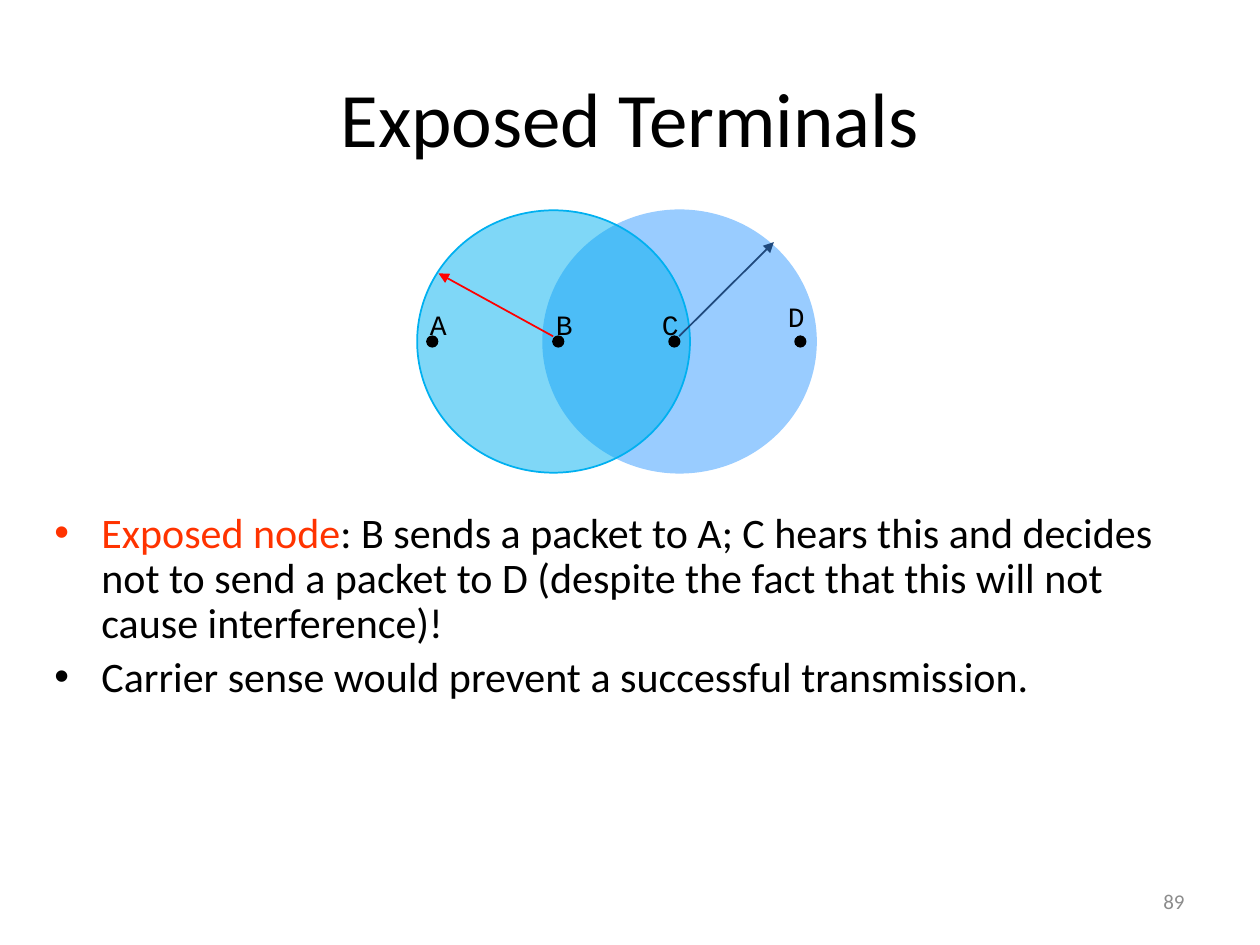
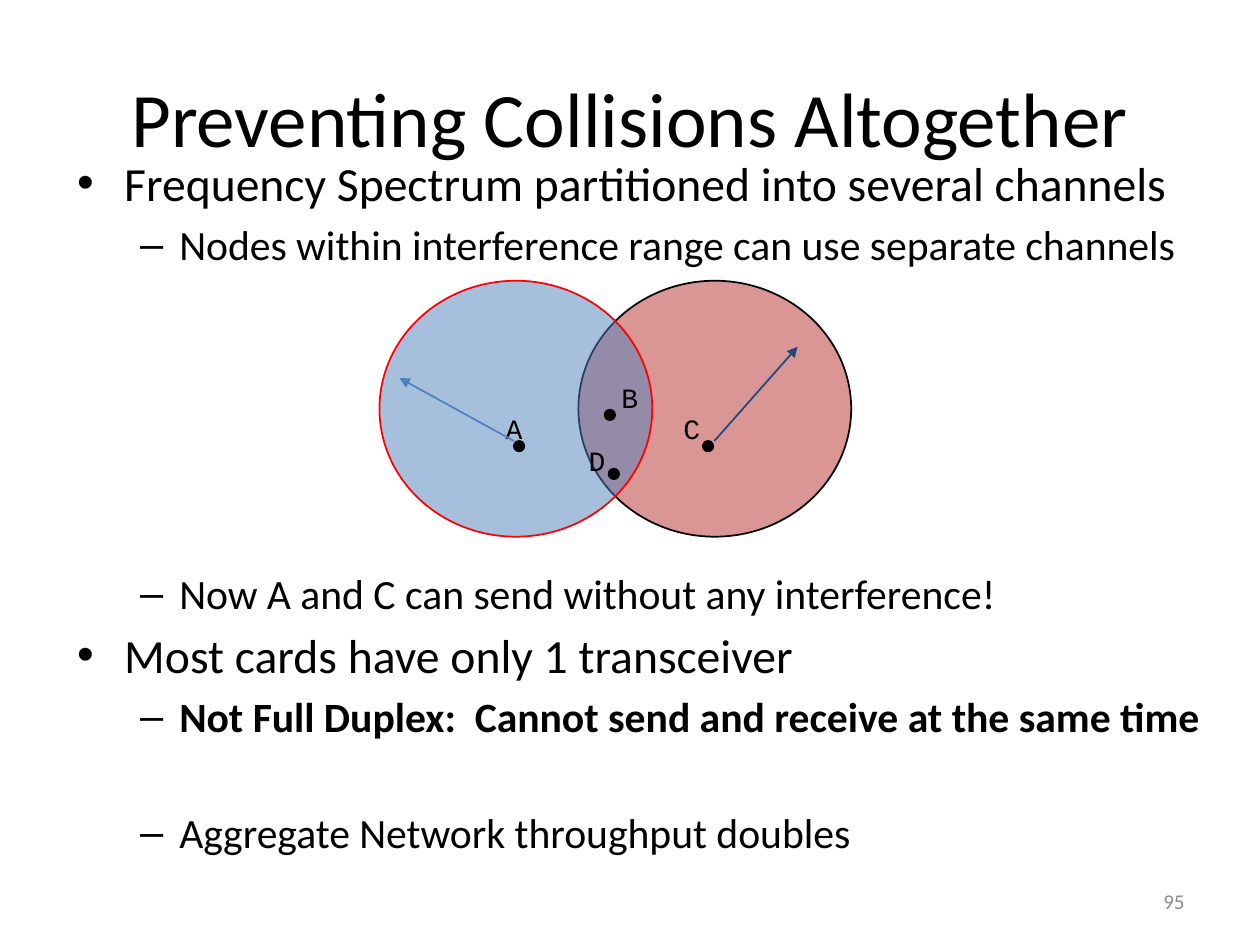
from pptx import Presentation
from pptx import util as u
from pptx.dml.color import RGBColor
from pptx.enum import shapes, text
from pptx.oxml.ns import qn
from lxml import etree

BLACK = RGBColor(0x00, 0x00, 0x00)
GREY = RGBColor(0x8C, 0x8C, 0x8C)
RED = RGBColor(0xFF, 0x00, 0x00)
ORANGE_RED = RGBColor(0xFF, 0x33, 0x00)
SKY = RGBColor(0x99, 0xCC, 0xFF)
CYAN = RGBColor(0x00, 0xB0, 0xF0)
BLUE = RGBColor(0x4F, 0x81, 0xBD)
NAVY = RGBColor(0x1F, 0x49, 0x7D)
ROSE = RGBColor(0xD9, 0x96, 0x94)

# bullet, left margin and hanging indent of each list level
LEVELS = [("•", u.Cm(0.95), u.Cm(-0.95)), ("–", u.Cm(2.06), u.Cm(-0.79))]
RANGE_WIDTH = 5.5
DOT = 0.21
LABEL = 0.91


class Deck:
    """Holds the presentation, its text style and the current slide; lengths are in cm."""

    body_font = "Calibri"
    label_font = "Courier New"

    def __init__(self):
        self.prs = Presentation()
        self.prs.slide_width, self.prs.slide_height = u.Cm(25.4), u.Cm(19.05)

    def slide(self, title, number):
        self.s = self.prs.slides.add_slide(self.prs.slide_layouts[1])
        sp = self.s.shapes.title
        self.place(sp, 1.27, 0.76, 22.86, 3.18)
        tf = sp.text_frame
        tf.text = title
        tf.vertical_anchor = text.MSO_ANCHOR.MIDDLE
        self.style(tf.paragraphs[0], 44, align=text.PP_ALIGN.CENTER)

        tf = self.s.shapes.add_textbox(*map(u.Cm, (18.21, 17.65, 5.92, 1.02))).text_frame
        tf.text = str(number)
        tf.word_wrap = True
        tf.vertical_anchor = text.MSO_ANCHOR.MIDDLE
        self.style(tf.paragraphs[0], 12, GREY, text.PP_ALIGN.RIGHT)

    @staticmethod
    def place(sp, left, top, width, height):
        sp.left, sp.top, sp.width, sp.height = map(u.Cm, (left, top, width, height))

    def style(self, p, size, color=BLACK, align=None, font=None, bold=False):
        p.alignment = align
        for r in p.runs:
            r.font.name = font or self.body_font
            r.font.size = u.Pt(size)
            r.font.bold = bold
            r.font.color.rgb = color

    def body(self, box, items, sizes, line_spacing=1.0):
        """Fill the list; each item is (level, wording, options)."""
        sp = self.s.placeholders[1]
        self.place(sp, *box)
        tf = sp.text_frame
        tf.auto_size = text.MSO_AUTO_SIZE.NONE
        for i, (level, wording, options) in enumerate(items):
            p = tf.paragraphs[0] if i == 0 else tf.add_paragraph()
            p.text = wording
            p.level = level
            p.line_spacing = line_spacing
            p.space_before = u.Pt(options.get("before", 4.5) if i else 0)
            self.bullet(p, level)
            lead = options.get("lead")
            if lead:
                p.runs[0].text = lead
                p.add_run().text = wording[len(lead):]
            self.style(p, sizes[level], bold=options.get("bold", False))
            if lead:
                p.runs[0].font.color.rgb = ORANGE_RED

    @staticmethod
    def bullet(p, level):
        char, margin, indent = LEVELS[level]
        pPr = p._p.get_or_add_pPr()
        pPr.set("marL", str(margin))
        pPr.set("indent", str(indent))
        etree.SubElement(pPr, qn("a:buFont")).set("typeface", "Arial")
        etree.SubElement(pPr, qn("a:buChar")).set("char", char)

    def ellipse(self, left, top, width, height, fill, line, alpha=None):
        sp = self.s.shapes.add_shape(shapes.MSO_SHAPE.OVAL, *map(u.Cm, (left, top, width, height)))
        sp.shadow.inherit = False
        sp.fill.solid()
        sp.fill.fore_color.rgb = fill
        sp.line.color.rgb = line
        sp.line.width = u.Pt(1)
        if alpha:
            color = sp._element.spPr.find(qn("a:solidFill"))[0]
            etree.SubElement(color, qn("a:alpha")).set("val", str(alpha * 1000))

    def node(self, name, dot, label):
        """Draw a black dot and its letter, each at its own left and top."""
        self.ellipse(*dot, DOT, DOT, BLACK, BLACK)
        sp = self.s.shapes.add_textbox(*map(u.Cm, (*label, LABEL, LABEL)))
        tf = sp.text_frame
        tf.text = name
        tf.word_wrap = False
        self.style(tf.paragraphs[0], 16, align=text.PP_ALIGN.CENTER, font=self.label_font)

    def arrow(self, start, end, color):
        cx = self.s.shapes.add_connector(shapes.MSO_CONNECTOR.STRAIGHT, *map(u.Cm, (*start, *end)))
        cx.line.color.rgb = color
        cx.line.width = u.Pt(1)
        etree.SubElement(cx.line._get_or_add_ln(), qn("a:tailEnd")).set("type", "triangle")
        etree.SubElement(cx._element.spPr, qn("a:effectLst"))


def exposed_terminals(deck):
    deck.slide("Exposed Terminals", 89)
    deck.body((0.84, 10.19, 23.29, 6.96), [
        (0, "Exposed node: B sends a packet to A; C hears this and decides not to send a packet "
            "to D (despite the fact that this will not cause interference)!", {"lead": "Exposed node"}),
        (0, "Carrier sense would prevent a successful transmission.", {}),
    ], sizes=(24,), line_spacing=0.9)
    deck.ellipse(10.95, 4.24, RANGE_WIDTH, 5.29, SKY, SKY)
    deck.ellipse(8.41, 4.24, RANGE_WIDTH, 5.29, CYAN, CYAN, alpha=50)
    for name, dot_left, label_left, label_top in [
        ("A", 8.61, 8.38, 6.07), ("B", 11.15, 10.92, 6.07),
        ("C", 13.49, 13.06, 6.07), ("D", 16.03, 15.6, 5.92),
    ]:
        deck.node(name, (dot_left, 6.78), (label_left, label_top))
    deck.arrow((13.69, 6.78), (15.6, 4.88), NAVY)
    deck.arrow((11.15, 6.78), (8.84, 5.51), RED)


def preventing_collisions(deck):
    deck.slide("Preventing Collisions Altogether", 95)
    deck.body((1.3, 2.97, 23.5, 15.67), [
        (0, "Frequency Spectrum partitioned into several channels", {}),
        (1, "Nodes within interference range can use separate channels", {}),
        (1, "Now A and C can send without any interference!", {"before": 171}),
        (0, "Most cards have only 1 transceiver", {}),
        (1, "Not Full Duplex:  Cannot send and receive at the same time", {"bold": True}),
        (1, "Aggregate Network throughput doubles", {"before": 37.8}),
    ], sizes=(27.2, 23.8))
    deck.ellipse(11.66, 5.66, RANGE_WIDTH, 5.16, ROSE, BLACK)
    deck.ellipse(7.65, 5.66, RANGE_WIDTH, 5.16, BLUE, RED, alpha=50)
    for name, dot, label in [
        ("A", (10.36, 8.89), (9.91, 8.18)), ("B", (12.19, 8.26), (12.24, 7.54)),
        ("C", (14.17, 8.89), (13.49, 8.18)), ("D", (12.27, 9.45), (11.58, 8.81)),
    ]:
        deck.node(name, dot, label)
    deck.arrow((14.4, 8.89), (16.08, 6.99), NAVY)
    deck.arrow((10.36, 8.89), (8.05, 7.62), BLUE)


def main():
    deck = Deck()
    exposed_terminals(deck)
    preventing_collisions(deck)
    deck.prs.save("out.pptx")


if __name__ == "__main__":
    main()
